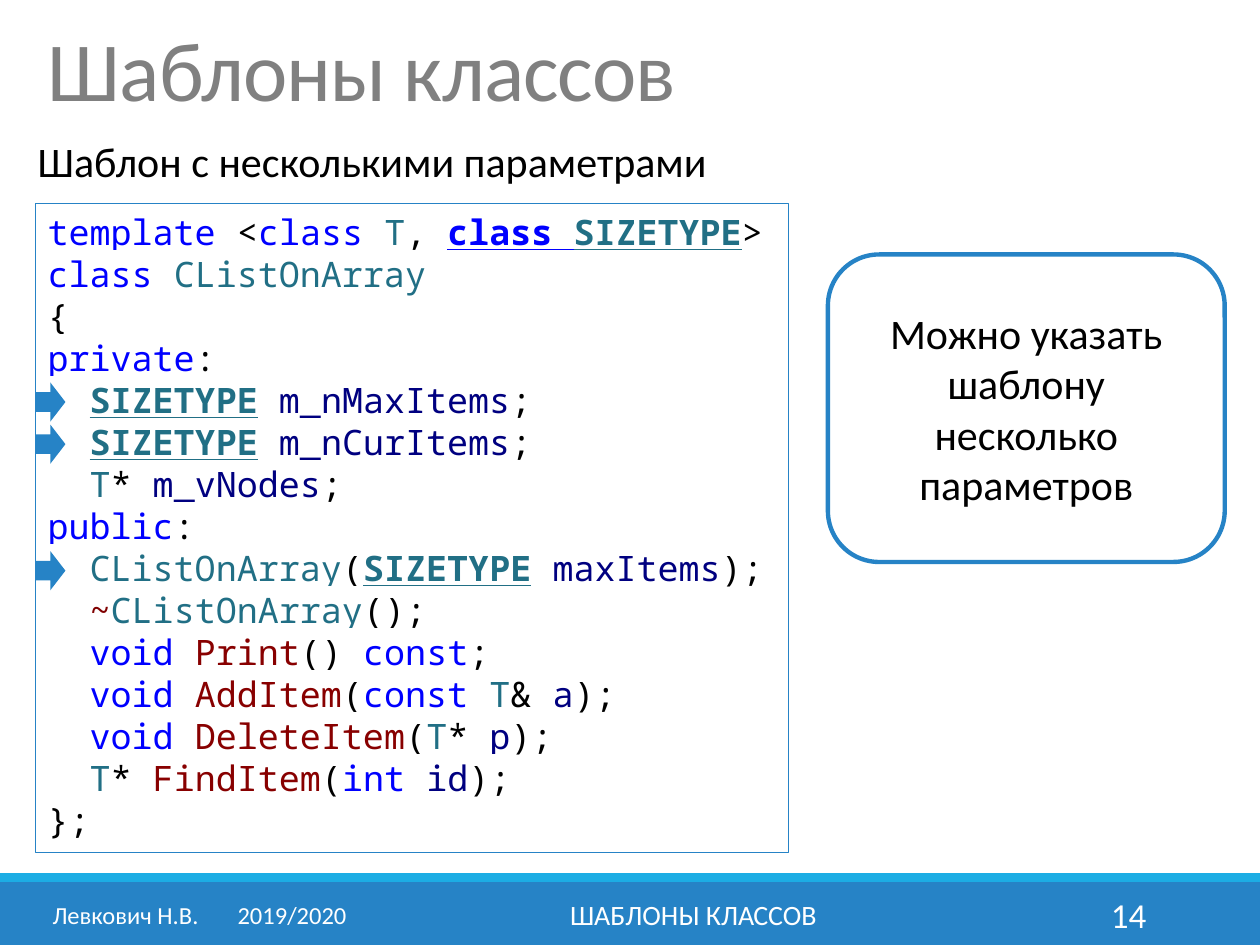
import pptx
import pptx.util
import pptx.dml.color
import pptx.enum.shapes
import pptx.enum.text
import pptx.oxml
import pptx.oxml.ns
from pptx.util import Cm

SHAPE = pptx.enum.shapes.MSO_SHAPE
ALIGN = pptx.enum.text.PP_ALIGN
ANCHOR = pptx.enum.text.MSO_ANCHOR
NS = pptx.oxml.ns.nsdecls("a")

# Content
TITLE = "Шаблоны классов"
SUBTITLE = "Шаблон с несколькими параметрами"
CALLOUT = "Можно указать шаблону несколько параметров"
AUTHOR = "Левкович Н.В. \t2019/2020"
FOOTER = "ШАБЛОНЫ КЛАССОВ"
NUMBER = "14"

BLUE, CYAN, WHITE, BLACK, GRAY = "2683C6", "1CADE4", "FFFFFF", "000000", "808080"

# Syntax roles: colour, emphasised (bold and underlined)
ROLES = {
    "plain": (BLACK, False),
    "key": ("0000FF", False),
    "type": ("216F85", False),
    "var": ("000080", False),
    "func": ("880000", False),
    "tilde": ("800000", False),
    "KEY": ("0000FF", True),
    "TYPE": ("216F85", True),
}
SIZE = ("SIZETYPE", "TYPE")
LIST = ("CListOnArray", "type")
T = ("T", "type")
INDENT = ("  ", "plain")
SPACE = (" ", "plain")
END = (";", "plain")
CLOSE = (");", "plain")
VOID = ("  void", "key")

CODE = [
    [("template ", "key"), ("<", "plain"), ("class ", "key"), T, (", ", "plain"),
     ("class ", "KEY"), SIZE, (">", "plain")],
    [("class", "key"), SPACE, LIST],
    [("{", "plain")],
    [("private", "key"), (":", "plain")],
    [INDENT, SIZE, SPACE, ("m_nMaxItems", "var"), END],
    [INDENT, SIZE, SPACE, ("m_nCurItems", "var"), END],
    [INDENT, T, ("* ", "plain"), ("m_vNodes", "var"), END],
    [("public", "key"), (":", "plain")],
    [INDENT, LIST, ("(", "plain"), SIZE, SPACE, ("maxItems", "var"), CLOSE],
    [("  ~", "tilde"), LIST, ("();", "plain")],
    [VOID, SPACE, ("Print", "func"), ("() ", "plain"), ("const", "key"), END],
    [VOID, SPACE, ("AddItem", "func"), ("(", "plain"), ("const", "key"), SPACE, T,
     ("& ", "plain"), ("a", "var"), CLOSE],
    [VOID, SPACE, ("DeleteItem", "func"), ("(", "plain"), T, ("* ", "plain"),
     ("p", "var"), CLOSE],
    [INDENT, T, ("* ", "plain"), ("FindItem", "func"), ("(", "plain"), ("int", "key"),
     SPACE, ("id", "var"), CLOSE],
    [("};", "plain")],
]
MARKED_LINES = [4, 5, 8]

# Layout in centimetres
PAGE_W, PAGE_H = 25.4, 19.05
CODE_X, CODE_Y, LINE_H = 0.71, 4.11, 0.85
FOOT_Y, FOOT_H = 17.93, 1.02


def rgb(value):
    return pptx.dml.color.RGBColor.from_string(value)


def add_shape(s, kind, box, fill=None, line=None, width=1):
    sp = s.shapes.add_shape(kind, *map(Cm, box))
    sp.shadow.inherit = False
    if fill:
        sp.fill.solid()
        sp.fill.fore_color.rgb = rgb(fill)
    else:
        sp.fill.background()
    if line:
        sp.line.color.rgb = rgb(line)
        sp.line.width = pptx.util.Pt(width)
    else:
        sp.line.fill.background()
    return sp


def style(r, size, color, font="Calibri"):
    r.font.size = pptx.util.Pt(size)
    r.font.color.rgb = rgb(color)
    r.font.name = font


def write(sp, text, size, color, align=ALIGN.LEFT, anchor=ANCHOR.MIDDLE):
    tf = sp.text_frame
    tf.word_wrap = True
    tf.auto_size = pptx.enum.text.MSO_AUTO_SIZE.NONE
    tf.vertical_anchor = anchor
    p = tf.paragraphs[0]
    p.text = text
    p.alignment = align
    for r in p.runs:
        style(r, size, color)
    return p


def add_text(s, box, *args, **kwargs):
    return write(s.shapes.add_textbox(*map(Cm, box)), *args, **kwargs)


def write_code(sp):
    tf = sp.text_frame
    tf.word_wrap = True
    tf.vertical_anchor = ANCHOR.TOP
    for i, tokens in enumerate(CODE):
        p = tf.add_paragraph() if i else tf.paragraphs[0]
        p.alignment = ALIGN.LEFT
        for text, role in tokens:
            color, strong = ROLES[role]
            r = p.add_run()
            r.text = text
            r.font.bold = r.font.underline = strong
            r.font.color.rgb = rgb(color)
            # White highlight goes between the fill and the font
            r.font._element.append(pptx.oxml.parse_xml(
                f'<a:highlight {NS}><a:srgbClr val="{WHITE}"/></a:highlight>'))
            style(r, 20, color, "Noto Sans Mono")


def main():
    prs = pptx.Presentation()
    prs.slide_width, prs.slide_height = Cm(PAGE_W), Cm(PAGE_H)
    s = prs.slides.add_slide(prs.slide_layouts[5])

    # Footer bands
    add_shape(s, SHAPE.RECTANGLE, (0, 17.78, PAGE_W, 1.27), BLUE)
    add_shape(s, SHAPE.RECTANGLE, (0, 17.6, PAGE_W, 0.18), CYAN)

    # Title and subtitle
    title = s.shapes.title
    title.left, title.top, title.width, title.height = map(Cm, (0.71, 0.53, 24, 2.01))
    p = write(title, TITLE, 48, GRAY, anchor=ANCHOR.TOP)
    p.line_spacing = 0.85
    p.runs[0].font._element.set("spc", "-50")
    p = add_text(s, (0.51, 2.72, 24.21, 1.2), SUBTITLE, 24, BLACK, anchor=ANCHOR.TOP)
    p.line_spacing = 0.9

    # Code listing, callout and line markers
    write_code(add_shape(s, SHAPE.RECTANGLE, (CODE_X, CODE_Y, 15.19, 13.08),
                         line=BLUE, width=0.75))
    callout = add_shape(s, SHAPE.ROUNDED_RECTANGLE, (16.69, 5.13, 8, 6.2),
                        line=BLUE, width=2.5)
    write(callout, CALLOUT, 24, BLACK, ALIGN.CENTER)
    for i in MARKED_LINES:
        add_shape(s, SHAPE.RIGHT_ARROW,
                  (CODE_X, CODE_Y + 0.2 + i * LINE_H, 0.61, 0.79), BLUE)

    # Footer texts
    p = add_text(s, (0.81, FOOT_Y, 6.63, FOOT_H), AUTHOR, 14, WHITE)
    p._p.get_or_add_pPr().append(pptx.oxml.parse_xml(
        f'<a:tabLst {NS}><a:tab pos="{Cm(3.73)}" algn="l"/></a:tabLst>'))
    add_text(s, (7.67, FOOT_Y, 12.62, FOOT_H), FOOTER, 16, WHITE, ALIGN.CENTER)
    add_text(s, (20.62, FOOT_Y, 2.74, FOOT_H), NUMBER, 20, WHITE, ALIGN.RIGHT)

    prs.save("out.pptx")


if __name__ == "__main__":
    main()
